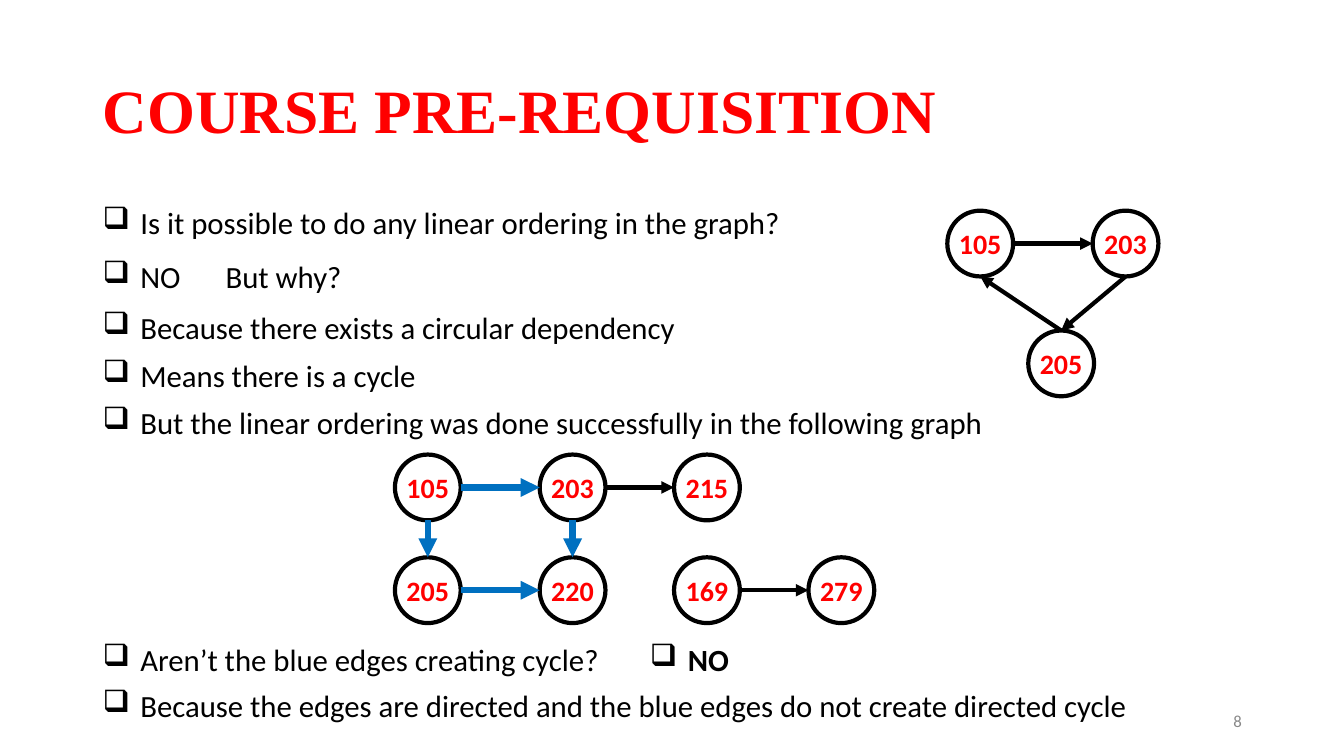
from lxml.etree import SubElement
from pptx import Presentation
from pptx.dml.color import RGBColor
from pptx.enum.shapes import MSO_CONNECTOR, MSO_SHAPE
from pptx.enum.text import MSO_ANCHOR, MSO_AUTO_SIZE, PP_ALIGN
from pptx.oxml.ns import qn
from pptx.util import Pt

BLACK = RGBColor(0x00, 0x00, 0x00)
RED = RGBColor(0xFF, 0x00, 0x00)
BLUE = RGBColor(0x00, 0x70, 0xC0)
GRAY = RGBColor(0x88, 0x88, 0x88)

DIAMETER = 47
INDENT = 27
LEFT = 66.2
SIDES = {"left": (-1, 0), "right": (1, 0), "top": (0, -1), "bottom": (0, 1)}


class GraphSlide:
    """Holds the slide and its style, and draws each kind of element."""

    def __init__(self, presentation):
        self.slide = presentation.slides.add_slide(presentation.slide_layouts[5])

    def style(self, paragraph, size, color, bold=False, name="Calibri"):
        font = paragraph.font
        font.name, font.size, font.bold = name, Pt(size), bold
        font.color.rgb = color

    def title(self, text, left, top, width, height):
        shape = self.slide.shapes.title
        shape.left, shape.top = Pt(left), Pt(top)
        shape.width, shape.height = Pt(width), Pt(height)
        frame = shape.text_frame
        frame.text = text
        frame.auto_size = MSO_AUTO_SIZE.NONE
        frame.vertical_anchor = MSO_ANCHOR.MIDDLE
        paragraph = frame.paragraphs[0]
        paragraph.alignment = PP_ALIGN.LEFT
        paragraph.line_spacing = 0.9
        self.style(paragraph, 44, RED, True, "Times New Roman")

    def text(self, text, left, top, width, bullet=True, bold=False):
        box = self.slide.shapes.add_textbox(Pt(left), Pt(top), Pt(width), Pt(33.8))
        frame = box.text_frame
        frame.word_wrap = False
        frame.auto_size = MSO_AUTO_SIZE.SHAPE_TO_FIT_TEXT
        frame.text = text
        paragraph = frame.paragraphs[0]
        if bullet:
            properties = paragraph._p.get_or_add_pPr()
            properties.set("marL", str(Pt(INDENT)))
            properties.set("indent", str(-Pt(INDENT)))
            SubElement(properties, qn("a:buChar")).set("char", "❑")
        self.style(paragraph, 22, BLACK, bold)

    def page_number(self, text, left, top, width, height):
        box = self.slide.shapes.add_textbox(Pt(left), Pt(top), Pt(width), Pt(height))
        frame = box.text_frame
        frame.word_wrap = True
        frame.vertical_anchor = MSO_ANCHOR.MIDDLE
        frame.text = text
        frame.paragraphs[0].alignment = PP_ALIGN.RIGHT
        self.style(frame.paragraphs[0], 12, GRAY)

    def course(self, label, x, y):
        radius = DIAMETER / 2
        circle = self.slide.shapes.add_shape(
            MSO_SHAPE.OVAL, Pt(x - radius), Pt(y - radius), Pt(DIAMETER), Pt(DIAMETER))
        circle.shadow.inherit = False
        circle.fill.background()
        circle.line.color.rgb = BLACK
        circle.line.width = Pt(3)
        frame = circle.text_frame
        frame.word_wrap = False
        frame.margin_left = frame.margin_right = 0
        frame.margin_top = frame.margin_bottom = 0
        frame.vertical_anchor = MSO_ANCHOR.MIDDLE
        frame.text = label
        frame.paragraphs[0].alignment = PP_ALIGN.CENTER
        self.style(frame.paragraphs[0], 20, RED, True)

    def arrow(self, start, end, color, width):
        connector = self.slide.shapes.add_connector(
            MSO_CONNECTOR.STRAIGHT, *[Pt(value) for value in (*start, *end)])
        connector.line.color.rgb = color
        connector.line.width = Pt(width)
        SubElement(connector.line._get_or_add_ln(), qn("a:tailEnd")).set("type", "triangle")
        SubElement(connector._element.spPr, qn("a:effectLst"))

    def graph(self, courses, edges):
        for label, (x, y) in courses.items():
            self.course(label, x, y)
        for source, source_side, target, target_side, color in edges:
            start, end = [
                [center + step * DIAMETER / 2
                 for center, step in zip(courses[label], SIDES[side])]
                for label, side in ((source, source_side), (target, target_side))]
            self.arrow(start, end, color, 4.5 if color == BLUE else 3)


def main():
    presentation = Presentation()
    presentation.slide_width, presentation.slide_height = Pt(960), Pt(540)
    page = GraphSlide(presentation)
    page.title("COURSE PRE-REQUISITION", LEFT, 28.8, 828, 104.4)

    for text, top, width in (
        ("Is it possible to do any linear ordering in the graph?", 141.8, 537),
        ("NO", 180.7, 77),
        ("Because there exists a circular dependency", 216.7, 440),
        ("Means there is a cycle", 251.3, 247.7),
        ("But the linear ordering was done successfully in the following graph", 285.1, 676),
        ("Aren’t the blue edges creating cycle?", 454.3, 379.4),
        ("Because the edges are directed and the blue edges do not create directed cycle",
         486.7, 765.4),
    ):
        page.text(text, LEFT, top, width)
    page.text("But why?", 154.1, 180.7, 102.2, bullet=False)
    page.text("NO", 457.2, 454.3, 77, bold=True)

    page.graph(
        {"105": (700.2, 174), "203": (804, 174), "205": (758, 259.6)},
        [("105", "right", "203", "left", BLACK),
         ("203", "bottom", "205", "top", BLACK),
         ("205", "top", "105", "bottom", BLACK)])

    columns = (305.6, 409, 505, 601)
    upper, lower = 348.2, 421.6
    page.graph(
        {"105": (columns[0], upper), "203": (columns[1], upper), "215": (columns[2], upper),
         "205": (columns[0], lower), "220": (columns[1], lower), "169": (columns[2], lower),
         "279": (columns[3], lower)},
        [("105", "right", "203", "left", BLUE),
         ("203", "right", "215", "left", BLACK),
         ("105", "bottom", "205", "top", BLUE),
         ("205", "right", "220", "left", BLUE),
         ("203", "bottom", "220", "top", BLUE),
         ("169", "right", "279", "left", BLACK)])

    page.page_number("8", 678.2, 500.4, 216, 28.8)
    presentation.save("out.pptx")


if __name__ == "__main__":
    main()
